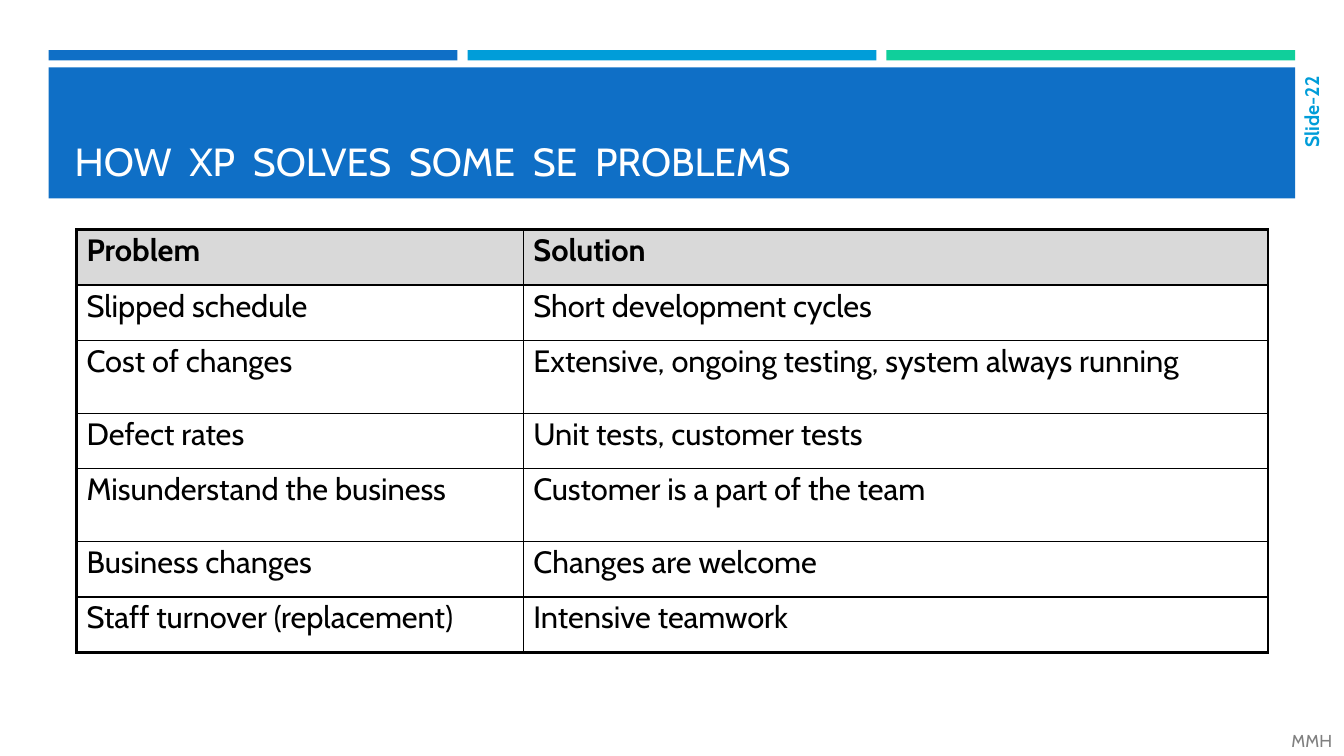
from lxml.etree import SubElement
from pptx import Presentation
from pptx.dml.color import RGBColor
from pptx.enum.shapes import MSO_SHAPE
from pptx.enum.text import MSO_ANCHOR as ANCHOR, MSO_AUTO_SIZE as AUTO_SIZE, PP_ALIGN as ALIGN
from pptx.oxml.ns import qn
from pptx.util import Pt

FONT = "Cabin"
BLUE, SKY, GREEN = "0F6FC6", "009DD9", "10CF9B"
WHITE, BLACK, GREY, HEADER_GREY = "FFFFFF", "000000", "808080", "D9D9D9"

TITLE = "HOW XP SOLVES SOME SE PROBLEMS"
PROBLEMS = [
    ("Problem", "Solution"),
    ("Slipped schedule", "Short development cycles"),
    ("Cost of changes", "Extensive, ongoing testing, system always running"),
    ("Defect rates", "Unit tests, customer tests"),
    ("Misunderstand the business", "Customer is a part of the team"),
    ("Business changes", "Changes are welcome"),
    ("Staff turnover (replacement)", "Intensive teamwork"),
]
COLUMN_SHARES = (0.375, 0.625)
ROW_HEIGHTS = (39.6, 39.6, 52, 39.6, 52, 39.6, 39.6)
INNER_LINE, OUTER_LINE = 1, 2.25


def color(hex_value):
    return RGBColor.from_string(hex_value)


def add_run(paragraph, text, size, hex_value, bold=False):
    run = paragraph.add_run()
    run.text = text
    run.font.name = FONT
    run.font.size = Pt(size)
    run.font.bold = bold
    run.font.color.rgb = color(hex_value)
    return run


def add_bar(slide, left, top, width, height, fill):
    bar = slide.shapes.add_shape(MSO_SHAPE.RECTANGLE, Pt(left), Pt(top), Pt(width), Pt(height))
    bar.shadow.inherit = False
    bar.fill.solid()
    bar.fill.fore_color.rgb = color(fill)
    bar.line.fill.background()


def add_header(slide, left, top, width, height):
    """Three accent bars above a blue band that holds the title."""
    gap, bar_height, band_offset = 7.2, 7.4, 12.4
    bar_width = (width - 2 * gap) / 3
    for index, fill in enumerate((BLUE, SKY, GREEN)):
        add_bar(slide, left + index * (bar_width + gap), top, bar_width, bar_height, fill)
    add_bar(slide, left, top + band_offset, width, height - band_offset, BLUE)

    title = slide.shapes.title
    title.left, title.top = Pt(left + 11.3), Pt(top + 19.4)
    title.width, title.height = Pt(width - 22), Pt(80)
    title.element.getparent().append(title.element)
    frame = title.text_frame
    frame.auto_size = AUTO_SIZE.NONE
    frame.vertical_anchor = ANCHOR.BOTTOM
    heading = frame.paragraphs[0]
    heading.alignment = ALIGN.LEFT
    for index, word in enumerate(TITLE.split()):
        if index:
            space = add_run(heading, " ", 28, WHITE)
            space.font._element.set("spc", "640")
        add_run(heading, word, 28, WHITE)


def add_label(slide, left, top, width, height):
    """Return the frame of an empty, vertically centred text box."""
    frame = slide.shapes.add_textbox(Pt(left), Pt(top), Pt(width), Pt(height)).text_frame
    frame.word_wrap = True
    frame.vertical_anchor = ANCHOR.MIDDLE
    return frame


def add_slide_number(slide, left, top, width, height):
    frame = add_label(slide, left, top, width, height)
    frame.margin_left = frame.margin_right = 0
    frame._txBody.bodyPr.set("vert", "vert270")
    number = frame.paragraphs[0]
    number.alignment = ALIGN.RIGHT
    add_run(number, "Slide-22", 14, SKY, bold=True)


def add_initials(slide, left, top, width, height):
    frame = add_label(slide, left, top, width, height)
    frame.margin_left, frame.margin_right = Pt(13), 0
    add_run(frame.paragraphs[0], "MMH", 12.3, GREY)


def set_borders(cell, outer_sides):
    properties = cell._tc.get_or_add_tcPr()
    for side in "LRTB":
        weight = OUTER_LINE if side in outer_sides else INNER_LINE
        line = SubElement(properties, qn(f"a:ln{side}"), w=str(Pt(weight)))
        fill = SubElement(line, qn("a:solidFill"))
        SubElement(fill, qn("a:srgbClr"), val=BLACK)


def add_problem_table(slide, left, top, width):
    row_count, column_count = len(PROBLEMS), len(COLUMN_SHARES)
    table = slide.shapes.add_table(row_count, column_count, Pt(left), Pt(top),
                                   Pt(width), Pt(sum(ROW_HEIGHTS))).table
    table.first_row = table.horz_banding = False
    for column, share in zip(table.columns, COLUMN_SHARES):
        column.width = Pt(width * share)
    for row, height in zip(table.rows, ROW_HEIGHTS):
        row.height = Pt(height)

    for r, entries in enumerate(PROBLEMS):
        for c, entry in enumerate(entries):
            cell = table.cell(r, c)
            edges = {"L": c == 0, "R": c == column_count - 1,
                     "T": r == 0, "B": r == row_count - 1}
            set_borders(cell, [side for side, is_outer in edges.items() if is_outer])
            if r == 0:
                cell.fill.solid()
                cell.fill.fore_color.rgb = color(HEADER_GREY)
            else:
                cell.fill.background()
            paragraph = cell.text_frame.paragraphs[0]
            paragraph.line_spacing = 0.9
            add_run(paragraph, entry, 22, BLACK, bold=r == 0)


def main():
    deck = Presentation()
    deck.slide_width, deck.slide_height = Pt(960), Pt(540)
    slide = deck.slides.add_slide(deck.slide_layouts[5])
    add_header(slide, 34.8, 35.8, 890.4, 106)
    add_slide_number(slide, 926.6, 47.5, 20.2, 77)
    add_problem_table(slide, 54.7, 164, 851)
    add_initials(slide, 909.4, 518.4, 50.4, 21.6)
    deck.save("out.pptx")


if __name__ == "__main__":
    main()
